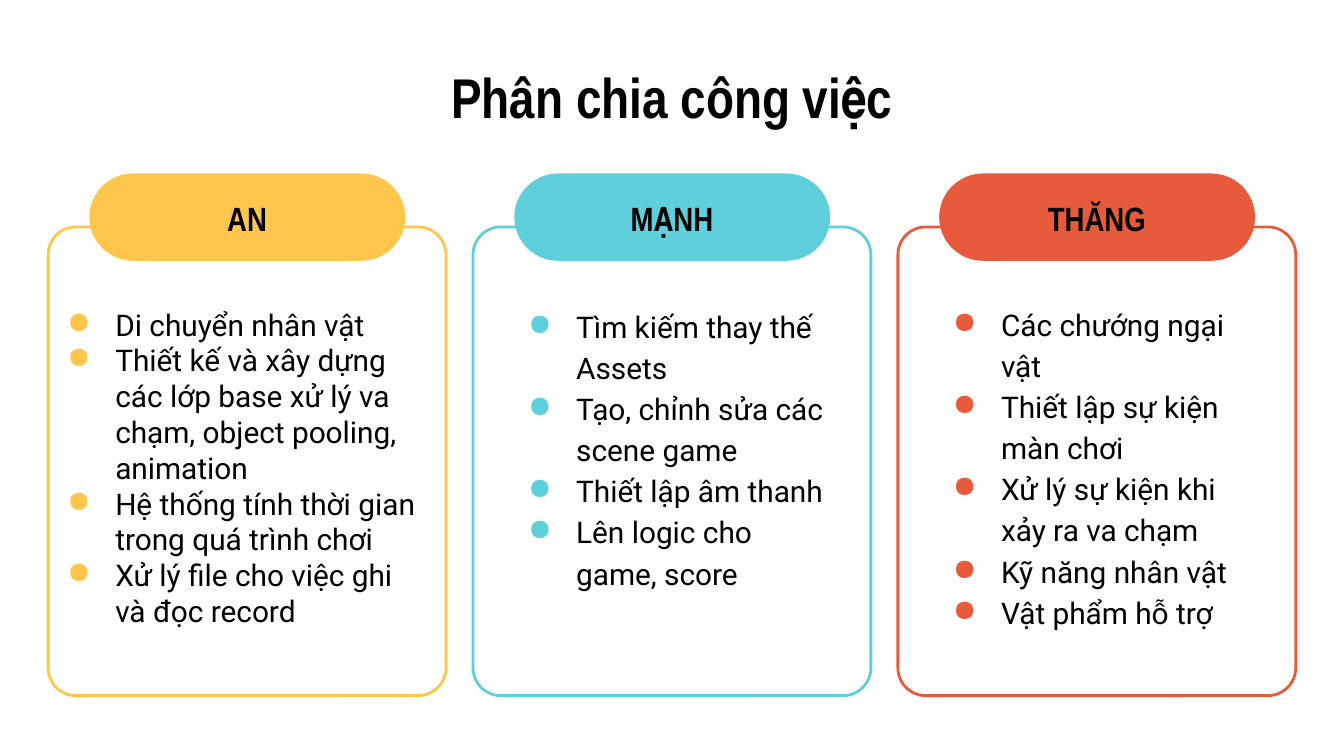
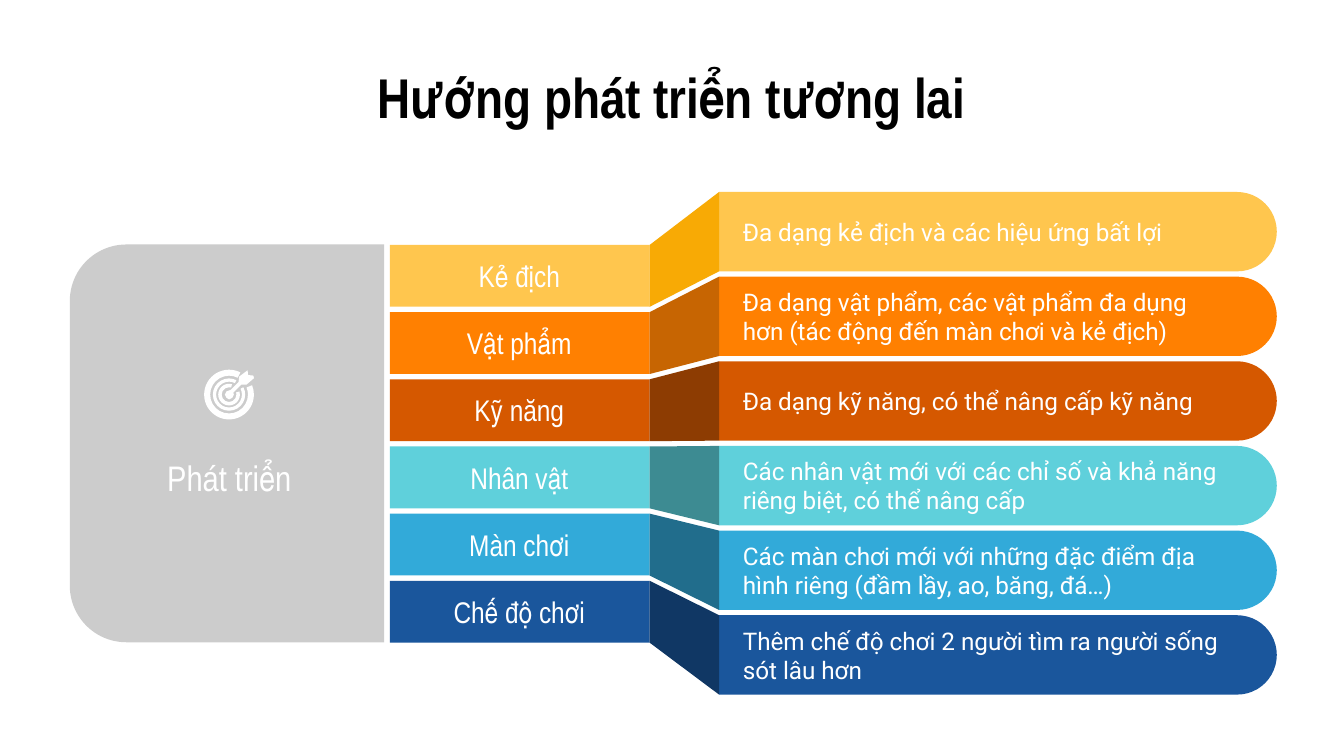
from lxml import etree
from pptx import Presentation
from pptx.dml.color import RGBColor
from pptx.enum.shapes import MSO_SHAPE as SHAPE
from pptx.enum.text import MSO_ANCHOR as ANCHOR, PP_ALIGN as ALIGN
from pptx.oxml.ns import qn
from pptx.util import Cm, Pt

COLORS = {
    "black": "000000", "white": "FFFFFF", "gray": "CCCCCC",
    "yellow": "FFC64E", "orange": "FF8001", "rust": "D55800",
    "teal": "5FD0DB", "sky": "32AAD9", "navy": "1A569C", "red": "E75B3C",
    "yellow fold": "F8AA05", "orange fold": "C76502", "rust fold": "8D3C02",
    "teal fold": "3D8B92", "sky fold": "216D8C", "navy fold": "103764",
}
HEADING_FONT, BODY_FONT = "Arial Narrow", "Roboto"


def paint(shape, fill, line=None):
    """Give a shape a flat fill and, if wanted, a thin outline."""
    shape.shadow.inherit = False
    shape.fill.solid()
    shape.fill.fore_color.rgb = RGBColor.from_string(COLORS[fill])
    if line:
        shape.line.color.rgb = RGBColor.from_string(COLORS[line])
        shape.line.width = Pt(1.5)
    else:
        shape.line.fill.background()


def add_text(slide, text, left, top, width, height, size, font=BODY_FONT,
             color="black", bold=False, align=ALIGN.LEFT, inset=(0.25, 0.25),
             spacing=None, bullet=None):
    """Add a text box with one paragraph a line; bullet is a colour name."""
    box = slide.shapes.add_textbox(Cm(left), Cm(top), Cm(width), Cm(height))
    frame = box.text_frame
    frame.word_wrap = True
    frame.vertical_anchor = ANCHOR.MIDDLE
    frame.margin_left = frame.margin_right = Cm(inset[0])
    frame.margin_top = frame.margin_bottom = Cm(inset[1])
    frame.text = text
    for paragraph in frame.paragraphs:
        paragraph.alignment = align
        if spacing:
            paragraph.line_spacing = spacing
        if bullet:
            props = paragraph._p.get_or_add_pPr()
            props.set("marL", str(Cm(1.27)))
            props.set("indent", str(Cm(-0.91)))
            bullet_color = etree.SubElement(props, qn("a:buClr"))
            etree.SubElement(bullet_color, qn("a:srgbClr"), val=COLORS[bullet])
            etree.SubElement(props, qn("a:buChar"), char="●")
        for run in paragraph.runs:
            run.font.size = Pt(size)
            run.font.name = font
            run.font.bold = bold
            run.font.color.rgb = RGBColor.from_string(COLORS[color])


prs = Presentation()
prs.slide_width, prs.slide_height = Cm(25.4), Cm(14.29)
slides = []
for title in ("Phân chia công việc", "Hướng phát triển tương lai"):
    slide = prs.slides.add_slide(prs.slide_layouts[6])
    add_text(slide, title, 1.27, 1.14, 22.86, 1.35, 30, font=HEADING_FONT,
             bold=True, align=ALIGN.CENTER)
    slides.append(slide)
division, future = slides

# Slide 1: one card per team member
members = [
    ("AN", "yellow", (0.41, 4.72, 8.15, 8.23), 1.0, [
        "Di chuyển nhân vật",
        "Thiết kế và xây dựng các lớp base xử lý va chạm, object pooling, animation",
        "Hệ thống tính thời gian trong quá trình chơi",
        "Xử lý file cho việc ghi và đọc record"]),
    ("MẠNH", "teal", (9.12, 5.64, 7.19, 5.62), 1.15, [
        "Tìm kiếm thay thế Assets",
        "Tạo, chỉnh sửa các scene game",
        "Thiết lập âm thanh",
        "Lên logic cho game, score"]),
    ("THĂNG", "red", (17.15, 5.64, 7.19, 6.32), 1.15, [
        "Các chướng ngại vật",
        "Thiết lập sự kiện màn chơi",
        "Xử lý sự kiện khi xảy ra va chạm",
        "Kỹ năng nhân vật",
        "Vật phẩm hỗ trợ"]),
]
for i, (member, color, task_area, spacing, tasks) in enumerate(members):
    left = 0.91 + 8.03 * i
    card = division.shapes.add_shape(
        SHAPE.ROUNDED_RECTANGLE, Cm(left), Cm(4.29), Cm(7.52), Cm(8.86))
    card.adjustments[0] = 0.07
    paint(card, "white", line=color)
    pill = division.shapes.add_shape(
        SHAPE.ROUNDED_RECTANGLE, Cm(left + 0.78), Cm(3.28), Cm(5.97), Cm(1.65))
    pill.adjustments[0] = 0.5
    paint(pill, color)
    add_text(division, member, left + 1.18, 3.66, 5.16, 0.91, 18,
             font=HEADING_FONT, bold=True, align=ALIGN.CENTER, inset=(0.5, 0))
    add_text(division, "\n".join(tasks), *task_area, 16, inset=(0.5, 0),
             spacing=spacing, bullet=color)

# Slide 2: hub on the left, then a tab, a fold and a bar per direction
hub_width, hub_height = 5.94, 7.52
turn = (hub_height - hub_width) / 2
hub = future.shapes.add_shape(
    SHAPE.ROUND_2_SAME_RECTANGLE, Cm(1.32 - turn), Cm(4.62 + turn),
    Cm(hub_height), Cm(hub_width))
hub.rotation = 270
hub.adjustments[0] = 0.18
paint(hub, "gray")
add_text(future, "Phát triển", 1.96, 8.28, 4.75, 1.5, 19, font=HEADING_FONT,
         color="white", align=ALIGN.CENTER)

directions = [
    ("Kẻ địch", "yellow", "Đa dạng kẻ địch và các hiệu ứng bất lợi"),
    ("Vật phẩm", "orange",
     "Đa dạng vật phẩm, các vật phẩm đa dụng hơn (tác động đến màn chơi và kẻ địch)"),
    ("Kỹ năng", "rust", "Đa dạng kỹ năng, có thể nâng cấp kỹ năng"),
    ("Nhân vật", "teal",
     "Các nhân vật mới với các chỉ số và khả năng riêng biệt, có thể nâng cấp"),
    ("Màn chơi", "sky",
     "Các màn chơi mới với những đặc điểm địa hình riêng (đầm lầy, ao, băng, đá…)"),
    ("Chế độ chơi", "navy",
     "Thêm chế độ chơi 2 người tìm ra người sống sót lâu hơn"),
]
tab_left, tab_width, tab_height = 7.37, 4.91, 1.17
bar_left, bar_width, bar_height = 13.59, 10.54, 1.5
fold_left = tab_left + tab_width
turn = (bar_width - bar_height) / 2
for i, (name, color, detail) in enumerate(directions):
    tab_top, bar_top = 4.63 + 1.27 * i, 3.63 + 1.6 * i
    bar = future.shapes.add_shape(
        SHAPE.ROUND_2_SAME_RECTANGLE, Cm(bar_left + turn), Cm(bar_top - turn),
        Cm(bar_height), Cm(bar_width))
    bar.rotation = 90
    bar.adjustments[0] = 0.5
    paint(bar, color)
    tab = future.shapes.add_shape(
        SHAPE.RECTANGLE, Cm(tab_left), Cm(tab_top), Cm(tab_width), Cm(tab_height))
    paint(tab, color)
    fold = future.shapes.build_freeform(Cm(fold_left), Cm(tab_top))
    fold.add_line_segments([
        (Cm(bar_left), Cm(bar_top)),
        (Cm(bar_left), Cm(bar_top + bar_height)),
        (Cm(fold_left), Cm(tab_top + tab_height))])
    paint(fold.convert_to_shape(), color + " fold")
    add_text(future, name, 7.44, tab_top + 0.15, 4.75, 0.86, 16,
             font=HEADING_FONT, color="white", align=ALIGN.CENTER)
    add_text(future, detail, 13.79, bar_top, 9.65, bar_height, 13, color="white")

# Target icon: open rings (diameter, start and end angle, thickness) and a dart
target = future.shapes.add_group_shape()
center_x, center_y = 4.33, 7.46
for diameter, start, end, thickness in [
        (0.94, 338, 297, 0.12), (0.61, 333, 297, 0.1), (0.41, 343, 286, 0.16)]:
    ring = target.shapes.add_shape(
        SHAPE.BLOCK_ARC, Cm(center_x - diameter / 2), Cm(center_y - diameter / 2),
        Cm(diameter), Cm(diameter))
    ring.adjustments[0] = start * 0.6
    ring.adjustments[1] = end * 0.6
    ring.adjustments[2] = thickness
    paint(ring, "white")
dart_outline = [
    (0.35, -0.46), (0.19, -0.34), (0.18, -0.24), (0.03, -0.09), (-0.05, -0.06),
    (-0.08, 0), (-0.05, 0.06), (0, 0.09), (0.06, 0.06), (0.09, 0),
    (0.08, -0.04), (0.23, -0.19), (0.33, -0.19), (0.47, -0.31),
    (0.46, -0.36), (0.36, -0.37)]
dart_points = [(Cm(center_x + x), Cm(center_y + y)) for x, y in dart_outline]
dart = target.shapes.build_freeform(*dart_points[0])
dart.add_line_segments(dart_points[1:])
paint(dart.convert_to_shape(), "white")

prs.save("out.pptx")
